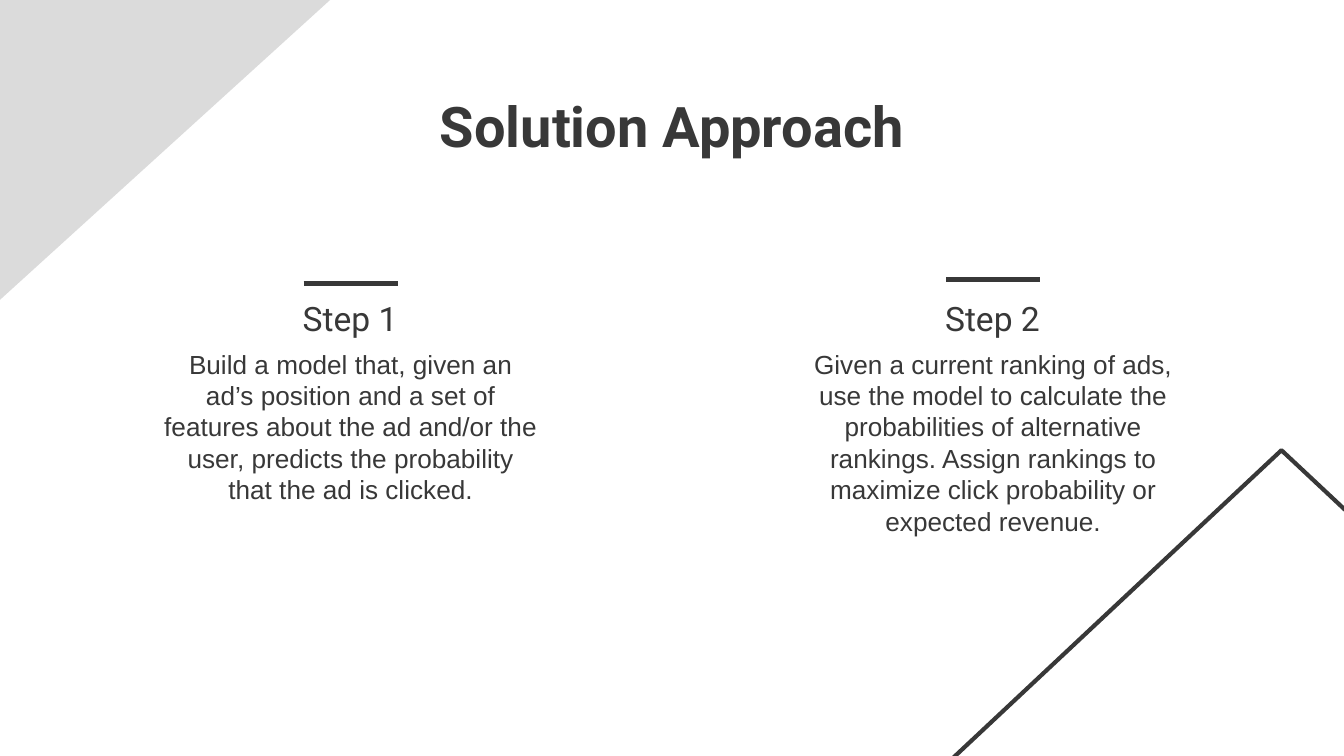
from lxml import etree
from pptx import Presentation
from pptx.dml.color import RGBColor
from pptx.enum.shapes import MSO_CONNECTOR, MSO_SHAPE
from pptx.enum.text import MSO_ANCHOR, MSO_AUTO_SIZE, PP_ALIGN
from pptx.oxml.ns import qn
from pptx.util import Inches, Pt

DARK = RGBColor(0x38, 0x38, 0x38)
LIGHT = RGBColor(0xDB, 0xDB, 0xDB)


def write_text(box, text, font, size, anchor, bold=False):
    frame = box.text_frame
    frame.word_wrap = True
    frame.auto_size = MSO_AUTO_SIZE.NONE
    frame.vertical_anchor = anchor
    frame.margin_left = frame.margin_right = Inches(0.1)
    frame.margin_top = frame.margin_bottom = Inches(0.1)
    para = frame.paragraphs[0]
    para.text = text
    para.alignment = PP_ALIGN.CENTER
    para.font.name = font
    para.font.size = Pt(size)
    para.font.bold = bold
    para.font.color.rgb = DARK


deck = Presentation()
deck.slide_width = Inches(10)
deck.slide_height = deck.slide_width * 9 // 16
page = deck.slides.add_slide(deck.slide_layouts[5])
shapes = page.shapes

# Turned a quarter so that the right angle sits in the top left corner
corner = shapes.add_shape(MSO_SHAPE.RIGHT_TRIANGLE, Inches(0.11), Inches(-0.16),
                          Inches(2.28), Inches(2.51))
corner.rotation = 90
corner.shadow.inherit = False
corner.fill.solid()
corner.fill.fore_color.rgb = LIGHT
corner.line.fill.background()

peak = shapes.add_shape(MSO_SHAPE.ISOSCELES_TRIANGLE, Inches(6.6), Inches(3.35),
                        Inches(5.87), Inches(2.75))
peak.shadow.inherit = False
peak.fill.background()
peak.line.color.rgb = DARK
peak.line.width = Pt(2.25)

title = shapes.title
title.left, title.top = Inches(2.16), Inches(0.58)
title.width, title.height = Inches(5.68), Inches(0.58)
write_text(title, "Solution Approach", "Roboto", 30, MSO_ANCHOR.TOP, bold=True)

# Centre of the column, height of its rule, heading, description
steps = [
    (2.61, 2.11, "Step 1",
     "Build a model that, given an ad’s position and a set of features about "
     "the ad and/or the user, predicts the probability that the ad is clicked."),
    (7.39, 2.08, "Step 2",
     "Given a current ranking of ads, use the model to calculate the "
     "probabilities of alternative rankings. Assign rankings to maximize "
     "click probability or expected revenue."),
]
for center, rule_y, heading, description in steps:
    body_box = shapes.add_textbox(Inches(center - 1.5), Inches(2.49),
                                  Inches(3), Inches(1.08))
    write_text(body_box, description, "Arial", 14, MSO_ANCHOR.TOP)

    heading_box = shapes.add_textbox(Inches(center - 1.17), Inches(2.2),
                                     Inches(2.33), Inches(0.34))
    write_text(heading_box, heading, "Roboto", 18, MSO_ANCHOR.MIDDLE)

    rule = shapes.add_connector(MSO_CONNECTOR.STRAIGHT,
                                Inches(center - 0.35), Inches(rule_y),
                                Inches(center + 0.35), Inches(rule_y))
    rule.line.color.rgb = DARK
    rule.line.width = Pt(2.25)
    etree.SubElement(rule._element.spPr, qn("a:effectLst"))

deck.save("out.pptx")
